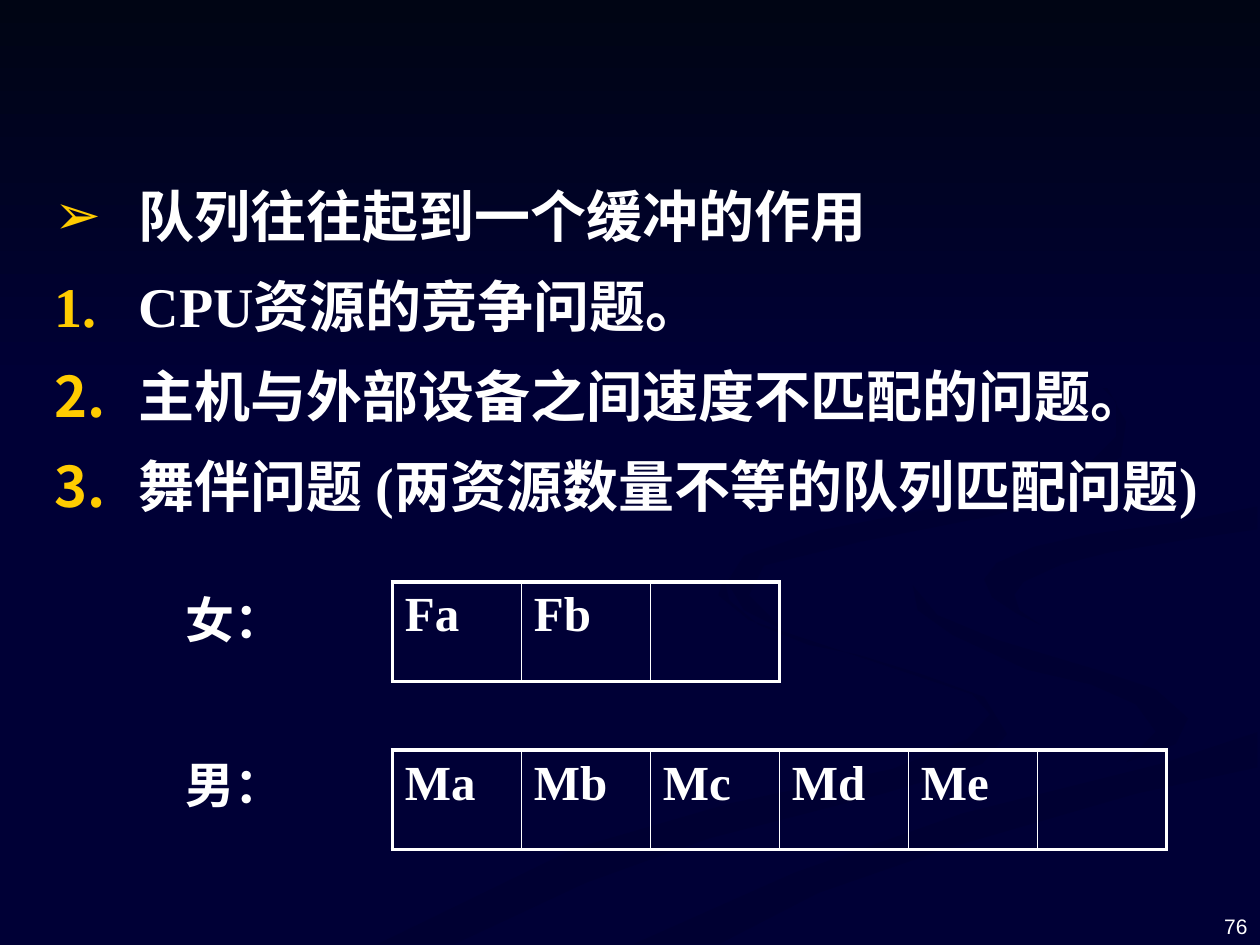
import pptx
import pptx.dml.color
import pptx.enum.text
import pptx.oxml
import pptx.oxml.ns
import pptx.util
from pptx.util import Cm, Pt

COLORS = {"night": "000036", "top": "000514", "swirl": "000032",
          "white": "FFFFFF", "gold": "FFCC00"}
SERIF = "Times New Roman"
CELL_WIDTH, CELL_HEIGHT = Cm(2.6), Cm(2.01)
THIN, THICK = Pt(1), Pt(2.25)

# Outlines of the faint background ribbons, in cm
RIBBONS = [
    [(19.84, 14.05), (18.6, 13.6), (17.3, 13.2), (16.3, 13), (15.3, 12.6),
     (14.7, 12.1), (14.6, 11.66), (14.48, 12), (15.1, 12.5), (16.6, 13),
     (18.1, 13.5), (19.6, 14), (19.96, 14.4), (19.5, 14.9), (18, 15.5),
     (14.7, 16.2), (11.6, 17.1), (7.62, 19.03), (9.17, 19.03), (11.8, 17.8),
     (14.3, 16.9), (17.8, 16), (19.8, 15.4), (20.3, 14.8)],
    [(23.95, 14.48), (23.3, 13.9), (22.1, 13.5), (20.1, 12.9), (18.9, 12.4),
     (18.4, 11.8), (18.5, 12.3), (19.2, 12.8), (20.7, 13.5), (22, 13.8),
     (22.9, 14.2), (23.3, 14.75), (22.7, 15.37), (23.7, 15)],
    [(12.78, 19.03), (14.5, 19.03), (16.5, 18), (19.1, 17.1), (22.9, 16),
     (25.35, 15.47), (25.35, 14.76), (23.4, 15.4), (19.4, 16.4), (16, 17.6)],
    [(19.84, 11.68), (20, 12.04), (20.5, 12.37), (20.98, 12.6), (20.55, 12.3),
     (20.45, 11.99), (20.63, 11.73), (21.4, 11.38), (22.3, 11.15),
     (23.77, 10.9), (25.35, 10.67), (25.35, 10.21), (23.7, 10.54),
     (21.97, 10.77), (20.85, 11.02), (20.09, 11.35)],
    [(17.35, 10.92), (20, 10.4), (21.7, 9.9), (22.6, 9.2), (22.7, 8.5),
     (22.2, 7.6), (21.1, 6.8), (19.35, 5.92), (21.5, 7.1), (22.5, 8.1),
     (22.5, 8.8), (21.9, 9.4), (20.1, 10), (16.5, 10.7), (15, 11.2),
     (14.66, 11.73), (15, 12.3), (15.8, 12.7), (15.1, 12), (15.4, 11.4)],
]


def rgb(name):
    return pptx.dml.color.RGBColor.from_string(COLORS[name])


def format_paragraph(para, size, font=SERIF, bold=True):
    for span in para.runs:
        span.font.size = Pt(size)
        span.font.name = font
        span.font.bold = bold
        span.font.color.rgb = rgb("white")


def add_xml(parent, markup, index=None):
    namespace = pptx.oxml.ns.nsdecls("a")
    child = pptx.oxml.parse_xml(markup.replace(" ", f" {namespace} ", 1))
    parent.insert(len(parent) if index is None else index, child)


def add_background(page):
    page.background.fill.solid()
    page.background.fill.fore_color.rgb = rgb("night")
    for points in RIBBONS:
        points = [(Cm(x), Cm(y)) for x, y in points]
        builder = page.shapes.build_freeform(*points[0])
        builder.add_line_segments(points[1:], close=True)
        ribbon = builder.convert_to_shape()
        ribbon.shadow.inherit = False
        ribbon.fill.solid()
        ribbon.fill.fore_color.rgb = rgb("swirl")
        ribbon.line.fill.background()
    # Dark band fading down into the page colour
    band = page.shapes.add_shape(1, 0, 0, Cm(25.4), Cm(7.82))
    band.shadow.inherit = False
    band.line.fill.background()
    band.fill.gradient()
    band.fill.gradient_angle = 270
    for stop, color in zip(band.fill.gradient_stops, ("top", "night")):
        stop.color.rgb = rgb(color)


def fill_body(page, lines):
    body = page.placeholders[1]
    body.left, body.top = Cm(0.84), Cm(3.53)
    body.width, body.height = Cm(24.56), Cm(15.39)
    page.shapes._spTree.append(body._element)  # in front of the background
    frame = body.text_frame
    frame.auto_size = pptx.enum.text.MSO_AUTO_SIZE.NONE
    frame.text = "\n".join(lines)
    for number, para in enumerate(frame.paragraphs):
        format_paragraph(para, 32)
        para.space_before = Pt(13 if number else 6.4)
        props = para._p.get_or_add_pPr()
        props.set("marL", str(Cm(1.7)))
        props.set("indent", str(-Cm(1.7)))
        add_xml(props, f'<a:buClr ><a:srgbClr val="{COLORS["gold"]}"/></a:buClr>')
        add_xml(props, '<a:buAutoNum type="arabicPeriod"/>' if number
                else '<a:buChar char="➢"/>')


def add_label(page, text, top):
    box = page.shapes.add_textbox(Cm(3.5), top, Cm(2.49), Cm(1.45))
    box.text_frame.auto_size = pptx.enum.text.MSO_AUTO_SIZE.SHAPE_TO_FIT_TEXT
    box.text_frame.word_wrap = False
    box.text_frame.text = text
    format_paragraph(box.text_frame.paragraphs[0], 28)


def add_queue(page, names, top):
    count = len(names)
    table = page.shapes.add_table(1, count, Cm(7.91), top,
                                  CELL_WIDTH * count, CELL_HEIGHT).table
    table.first_row = table.horz_banding = False
    for column, name in enumerate(names):
        table.columns[column].width = CELL_WIDTH
        cell = table.cell(0, column)
        cell.text = name
        format_paragraph(cell.text_frame.paragraphs[0], 28)
        cell.fill.background()
        # Thick outer frame, thin lines between cells
        widths = {"L": THIN if column else THICK,
                  "R": THIN if column < count - 1 else THICK,
                  "T": THICK, "B": THICK}
        for index, (side, width) in enumerate(widths.items()):
            add_xml(cell._tc.get_or_add_tcPr(),
                    f'<a:ln{side} w="{width}"><a:solidFill><a:srgbClr '
                    f'val="{COLORS["white"]}"/></a:solidFill></a:ln{side}>', index)


def add_page_number(page, number):
    box = page.shapes.add_textbox(Cm(19.48), Cm(17.73), Cm(5.92), Cm(1.32))
    frame = box.text_frame
    frame.word_wrap = True
    frame.vertical_anchor = pptx.enum.text.MSO_ANCHOR.BOTTOM
    frame.text = number
    frame.paragraphs[0].alignment = pptx.enum.text.PP_ALIGN.RIGHT
    format_paragraph(frame.paragraphs[0], 12, "Arial", False)


def main():
    deck = pptx.Presentation()
    deck.slide_width, deck.slide_height = Cm(25.4), Cm(19.05)
    page = deck.slides.add_slide(deck.slide_layouts[1])
    title = page.shapes.title._element
    title.getparent().remove(title)

    add_background(page)
    fill_body(page, ["队列往往起到一个缓冲的作用",
                     "CPU资源的竞争问题。",
                     "主机与外部设备之间速度不匹配的问题。",
                     "舞伴问题 (两资源数量不等的队列匹配问题)"])

    # Two queues of unequal length
    add_queue(page, ["Fa", "Fb", ""], Cm(11.73))
    add_queue(page, ["Ma", "Mb", "Mc", "Md", "Me", ""], Cm(15.12))
    add_label(page, "女：", Cm(11.76))
    add_label(page, "男：", Cm(15.09))
    add_page_number(page, "76")
    deck.save("out.pptx")


if __name__ == "__main__":
    main()
